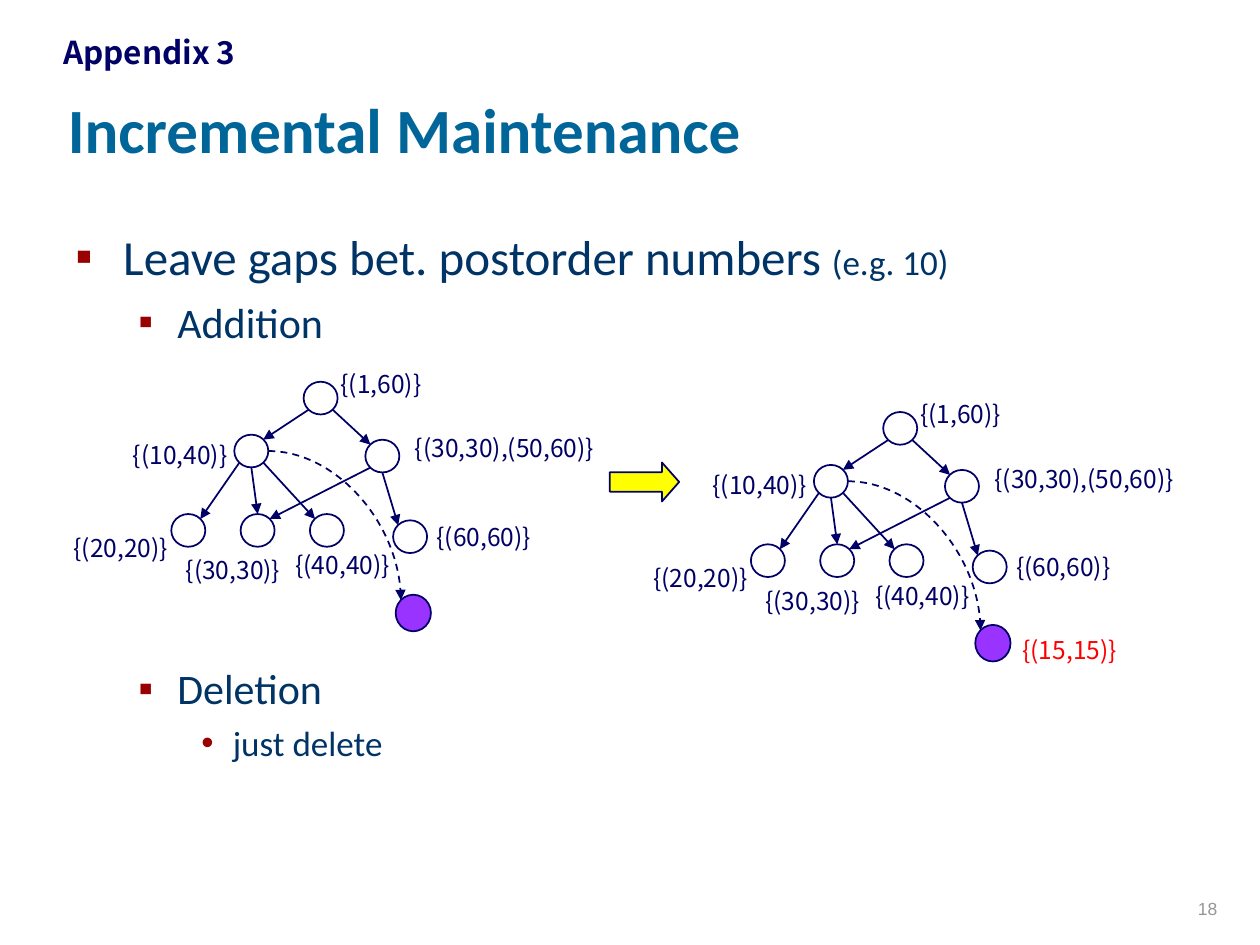
from dataclasses import dataclass

from lxml import etree
from pptx import Presentation
from pptx import util as u
from pptx.dml.color import RGBColor
from pptx.enum import dml, shapes, text
from pptx.oxml import ns


@dataclass(frozen=True)
class Theme:
    heading: str = "006699"
    body: str = "003366"
    bullet: str = "990000"
    ink: str = "000066"
    added: str = "9933FF"
    arrow: str = "FFFF00"
    alert: str = "FF0000"
    muted: str = "969696"
    body_font: str = "Calibri"
    label_font: str = "Noto Sans CJK KR"
    number_font: str = "Arial"
    title_size: int = 36
    level_sizes: tuple[int, ...] = (28, 24, 20)
    tag_size: int = 18
    label_size: int = 14
    number_size: int = 10


@dataclass(frozen=True)
class Box:
    left: float
    top: float
    width: float
    height: float

    def shifted(self, x: float, y: float) -> "Box":
        return Box(self.left + x, self.top + y, self.width, self.height)

    def site(self, name: str) -> tuple[float, float]:
        across, down = SITES[name]
        return self.left + across * self.width, self.top + down * self.height

    def lengths(self) -> list[u.Length]:
        return [u.Inches(v) for v in (self.left, self.top, self.width, self.height)]


@dataclass(frozen=True)
class Style:
    size: int
    color: str
    font: str
    bold: bool = False


@dataclass(frozen=True)
class Edge:
    parent: str
    parent_site: str
    child: str
    child_site: str
    curved: bool = False


@dataclass(frozen=True)
class Label:
    text: str
    left: float
    top: float
    width: float = 0.96


@dataclass(frozen=True)
class Bullet:
    level: int
    runs: tuple[tuple[str, int], ...]


THEME = Theme()
NEAR, FAR = 0.15, 0.85
SITES = {
    "top": (0.5, 0), "bottom": (0.5, 1), "right": (1, 0.5),
    "top left": (NEAR, NEAR), "top right": (FAR, NEAR),
    "bottom left": (NEAR, FAR), "bottom right": (FAR, FAR),
}
NODES = {
    name: Box(left, top, 0.27, 0.26)
    for name, left, top in (
        ("root", 2.41, 3.03), ("left", 1.86, 3.45), ("right", 2.9, 3.49),
        ("leaf 20", 1.36, 4.08), ("leaf 30", 1.91, 4.08),
        ("leaf 40", 2.46, 4.08), ("leaf 60", 3.12, 4.13),
    )
} | {"added": Box(3.14, 4.72, 0.28, 0.29)}
EDGES = (
    Edge("root", "bottom left", "left", "top right"),
    Edge("root", "bottom right", "right", "top left"),
    Edge("left", "bottom left", "leaf 20", "top right"),
    Edge("left", "bottom", "leaf 30", "top"),
    Edge("left", "bottom right", "leaf 40", "top left"),
    Edge("right", "bottom left", "leaf 30", "top right"),
    Edge("right", "bottom", "leaf 60", "top left"),
    Edge("left", "right", "added", "top left", curved=True),
)
LABELS = (
    Label("{(1,60)}", 2.6, 2.88, 0.85),
    Label("{(10,40)}", 0.95, 3.44),
    Label("{(30,30),(50,60)}", 3.19, 3.39, 1.63),
    Label("{(20,20)}", 0.48, 4.18),
    Label("{(30,30)}", 1.37, 4.36),
    Label("{(40,40)}", 2.24, 4.32),
    Label("{(60,60)}", 3.36, 4.09),
)
BULLET_LAYOUT = ((0.38, 0.38, 5, "▪"), (0.81, 0.31, 6, "▪"), (1.25, 0.25, 5, "•"))
LARGE, MEDIUM, SMALL = THEME.level_sizes


def color(value: str) -> RGBColor:
    return RGBColor.from_string(value)


def format_run(run, style: Style) -> None:
    run.font.size = u.Pt(style.size)
    run.font.name = style.font
    run.font.bold = style.bold
    run.font.color.rgb = color(style.color)


def add_text(slide, box: Box, content: str, style: Style, align=text.PP_ALIGN.CENTER,
             anchor=text.MSO_ANCHOR.TOP, wrap: bool = False) -> None:
    frame = slide.shapes.add_textbox(*box.lengths()).text_frame
    frame.word_wrap = wrap
    frame.vertical_anchor = anchor
    frame.text = content
    paragraph = frame.paragraphs[0]
    paragraph.alignment = align
    format_run(paragraph.runs[0], style)


def add_bullets(slide, box: Box, bullets: tuple[Bullet, ...]) -> None:
    frame = slide.shapes.add_textbox(*box.lengths()).text_frame
    frame.word_wrap = True
    for index, bullet in enumerate(bullets):
        paragraph = frame.add_paragraph() if index else frame.paragraphs[0]
        margin, hanging, space, character = BULLET_LAYOUT[bullet.level]
        paragraph.level = bullet.level
        if index:
            paragraph.space_before = u.Pt(space)
        properties = paragraph._p.get_or_add_pPr()
        properties.set("marL", str(u.Inches(margin)))
        properties.set("indent", str(-u.Inches(hanging)))
        bullet_color = etree.SubElement(properties, ns.qn("a:buClr"))
        etree.SubElement(bullet_color, ns.qn("a:srgbClr"), val=THEME.bullet)
        etree.SubElement(properties, ns.qn("a:buFont"), typeface=THEME.number_font)
        etree.SubElement(properties, ns.qn("a:buChar"), char=character)
        for content, size in bullet.runs:
            run = paragraph.add_run()
            run.text = content
            format_run(run, Style(size, THEME.body, THEME.body_font))


def add_outlined(slide, kind, box: Box, fill: str | None = None):
    shape = slide.shapes.add_shape(kind, *box.lengths())
    shape.shadow.inherit = False
    if fill:
        shape.fill.solid()
        shape.fill.fore_color.rgb = color(fill)
    else:
        shape.fill.background()
    shape.line.color.rgb = color(THEME.ink)
    shape.line.width = u.Pt(1)
    return shape


def add_edge(slide, edge: Edge, nodes: dict[str, Box]) -> None:
    kind = shapes.MSO_CONNECTOR.CURVE if edge.curved else shapes.MSO_CONNECTOR.STRAIGHT
    ends = nodes[edge.parent].site(edge.parent_site) + nodes[edge.child].site(edge.child_site)
    connector = slide.shapes.add_connector(kind, *(u.Inches(value) for value in ends))
    connector.line.color.rgb = color(THEME.ink)
    connector.line.width = u.Pt(1)
    properties = connector.element.spPr
    if edge.curved:
        connector.line.dash_style = dml.MSO_LINE.DASH
        properties.find(ns.qn("a:prstGeom")).set("prst", "curvedConnector2")
    etree.SubElement(properties.find(ns.qn("a:ln")), ns.qn("a:tailEnd"), type="triangle")
    etree.SubElement(properties, ns.qn("a:effectLst"))


def add_tree(slide, x: float, y: float) -> None:
    nodes = {name: box.shifted(x, y) for name, box in NODES.items()}
    for name, box in nodes.items():
        add_outlined(slide, shapes.MSO_SHAPE.OVAL, box, THEME.added if name == "added" else None)
    for edge in EDGES:
        add_edge(slide, edge, nodes)
    for label in LABELS:
        add_label(slide, label, x, y, THEME.ink)


def add_label(slide, label: Label, x: float, y: float, ink: str) -> None:
    box = Box(label.left, label.top, label.width, 0.34).shifted(x, y)
    add_text(slide, box, label.text, Style(THEME.label_size, ink, THEME.label_font))


def main() -> None:
    presentation = Presentation()
    presentation.slide_width, presentation.slide_height = u.Inches(10), u.Inches(7.5)
    slide = presentation.slides.add_slide(presentation.slide_layouts[6])
    left, right, bottom = text.PP_ALIGN.LEFT, text.PP_ALIGN.RIGHT, text.MSO_ANCHOR.BOTTOM
    add_text(slide, Box(0.44, 0.12, 8.5, 1.25), "Incremental Maintenance",
             Style(THEME.title_size, THEME.heading, THEME.body_font, True), left, bottom, True)
    add_text(slide, Box(0.12, 0.21, 2.13, 0.4), "Appendix 3",
             Style(THEME.tag_size, THEME.ink, THEME.label_font, True), wrap=True)
    add_bullets(slide, Box(0.5, 1.75, 8.94, 1.1), (
        Bullet(0, (("Leave gaps bet. postorder numbers ", LARGE), ("(e.g. 10)", SMALL))),
        Bullet(1, (("Addition", MEDIUM),)),
    ))
    add_bullets(slide, Box(0.5, 5.21, 8.94, 1.42), (
        Bullet(1, (("Deletion", MEDIUM),)),
        Bullet(2, (("just delete", SMALL),)),
    ))
    add_tree(slide, 0, 0)
    arrow = add_outlined(slide, shapes.MSO_SHAPE.RIGHT_ARROW, Box(4.84, 3.67, 0.55, 0.31), THEME.arrow)
    arrow.adjustments[0], arrow.adjustments[1] = 0.5, 0.44
    add_tree(slide, 4.6, 0.24)
    add_label(slide, Label("{(15,15)}", 8.01, 4.99), 0, 0, THEME.alert)
    add_text(slide, Box(7.68, 6.84, 2.08, 0.5), "18",
             Style(THEME.number_size, THEME.muted, THEME.number_font), right, bottom, True)
    presentation.save("out.pptx")


if __name__ == "__main__":
    main()
